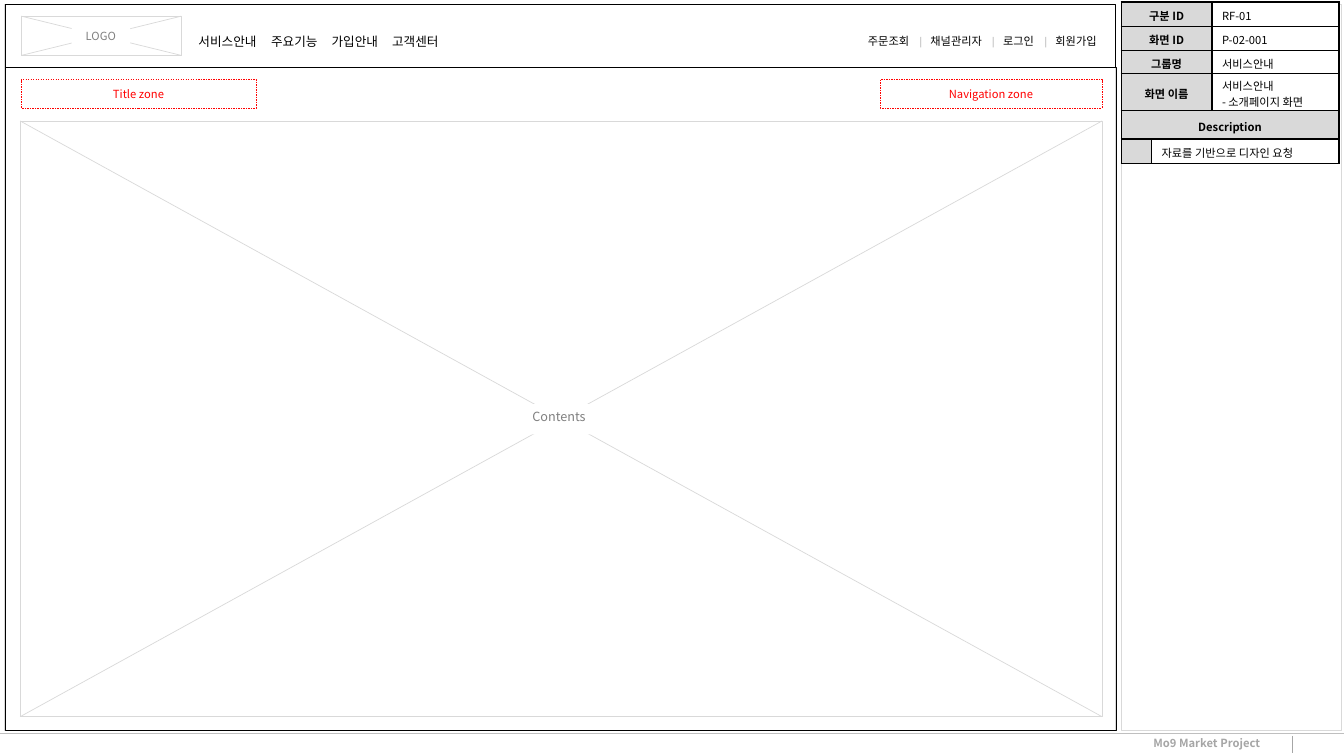
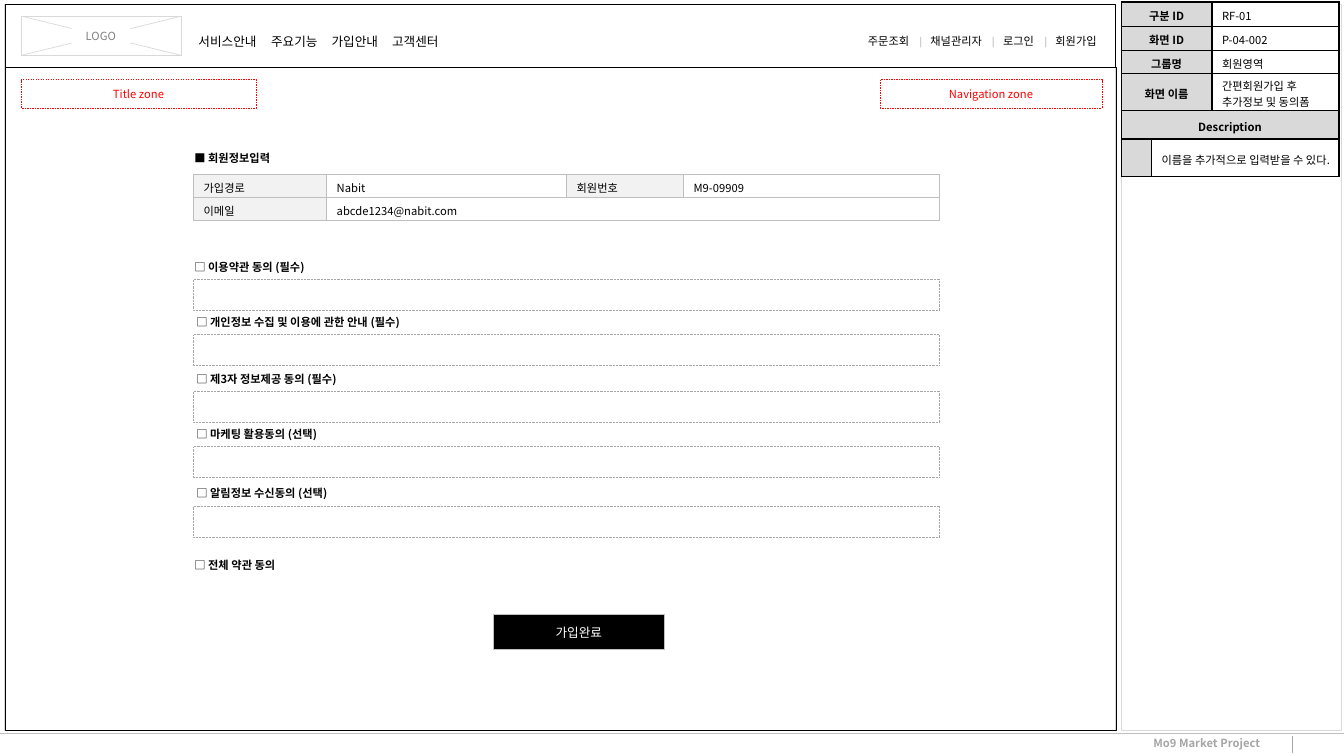
from lxml import etree
from pptx import Presentation
from pptx.dml.color import RGBColor
from pptx.enum import dml, shapes, text
from pptx.oxml.ns import qn
from pptx.util import Inches, Pt

# Shared look
COLORS = {
    "black": "000000", "white": "FFFFFF", "red": "FF0000", "head": "D9D9D9",
    "label": "F2F2F2", "frame": "D9D9D9", "rule": "BFBFBF", "muted": "A6A6A6",
    "hint": "808080",
}
SANS, LATIN = "Noto Sans CJK KR", "Arial"
CENTER = text.PP_ALIGN.CENTER
MIDDLE = text.MSO_ANCHOR.MIDDLE
DASH, DOT = dml.MSO_LINE.DASH, dml.MSO_LINE.ROUND_DOT

# Shared content: left, top, width, height
FRAMES = [
    ((11.12, 0.04, 2.18, 7.2), "frame"),
    ((0.04, 0.04, 11.02, 7.2), "frame"),
    ((0.05, 0.04, 11.01, 0.63), "black"),
    ((0.05, 0.67, 11.02, 6.57), "black"),
]
ZONES = [
    ("Title zone", (0.21, 0.79, 2.33, 0.28)),
    ("Navigation zone", (8.73, 0.79, 2.2, 0.28)),
]
MENU = ["서비스안내", "주요기능", "가입안내", "고객센터"]
MENU_TABS = [0.72, 1.32, 1.92]
ACCOUNT = ["주문조회", "|", "채널관리자", "|", "로그인", "|", "회원가입"]
ACCOUNT_TABS = [0.51, 0.62, 1.23, 1.34, 1.75, 1.86]
FOOTER = "Mo9 Market Project"
SPEC_LABELS = ["구분 ID", "화면 ID", "그룹명", "화면 이름"]

# Content of each screen
INTRO_SPEC = {
    "values": ["RF-01", "P-02-001", "서비스안내", "서비스안내\n- 소개페이지 화면"],
    "note": "자료를 기반으로 디자인 요청", "note_height": 0.24,
}
SIGNUP_SPEC = {
    "values": ["RF-01", "P-04-002", "회원영역", "간편회원가입 후 추가정보 및 동의폼"],
    "note": "이름을 추가적으로 입력받을 수 있다.", "note_height": 0.37,
}
# Table cells: column, columns spanned, text, fill, bold and centred
MEMBER_ROWS = [
    [(0, 1, "가입경로", "label", False), (1, 1, "Nabit", "white", False),
     (2, 1, "회원번호", "label", False), (3, 1, "M9-09909", "white", False)],
    [(0, 1, "이메일", "label", False), (1, 3, "abcde1234@nabit.com", "white", False)],
]
# Consent label, label left, top of its box
CONSENTS = [
    ("이용약관 동의 (필수)", 1.83, 2.77),
    ("개인정보 수집 및 이용에 관한 안내 (필수)", 1.85, 3.32),
    ("제3자 정보제공 동의 (필수)", 1.85, 3.88),
    ("마케팅 활용동의 (선택)", 1.85, 4.43),
    ("알림정보 수신동의 (선택)", 1.85, 5.02),
]


def rgb(name):
    return RGBColor.from_string(COLORS[name])


def inches(values):
    return [Inches(value) for value in values]


def add_span(para, words, color="black", size=8, bold=False, font=SANS):
    span = para.add_run()
    span.text = words
    span.font.size, span.font.bold, span.font.name = Pt(size), bold, font
    span.font.color.rgb = rgb(color)
    east = etree.SubElement(span._r.get_or_add_rPr(), qn("a:ea"))
    east.set("typeface", SANS)


def add_box(page, at, fill=None, line=None, width=0.25, dash=None):
    box = page.shapes.add_shape(shapes.MSO_SHAPE.RECTANGLE, *inches(at))
    box.shadow.inherit = False
    if fill:
        box.fill.solid()
        box.fill.fore_color.rgb = rgb(fill)
    else:
        box.fill.background()
    if line:
        box.line.color.rgb = rgb(line)
        box.line.width = Pt(width)
        if dash:
            box.line.dash_style = dash
    else:
        box.line.fill.background()
    return box


def add_caption(box, words, color, size=8, anchor=MIDDLE):
    frame = box.text_frame
    frame.vertical_anchor = anchor
    frame.paragraphs[0].alignment = CENTER
    add_span(frame.paragraphs[0], words, color, size)


def add_text(page, at, spans, wrap=False):
    """Each span is a pair: words and a dict of font settings."""
    box = page.shapes.add_textbox(*inches(at))
    box.text_frame.word_wrap = wrap
    para = box.text_frame.paragraphs[0]
    for words, style in spans:
        add_span(para, words, **style)
    return para


def add_line(page, start, end, color, width=0.25):
    line = page.shapes.add_connector(
        shapes.MSO_CONNECTOR.STRAIGHT, *inches(start + end))
    line.line.color.rgb = rgb(color)
    line.line.width = Pt(width)
    etree.SubElement(line._element.spPr, qn("a:effectLst"))


def add_crossed_box(page, at, words, label_at, size):
    left, top, width, height = at
    right, bottom = left + width, top + height
    add_box(page, at, "white", "frame", 0.5)
    add_line(page, (left, bottom), (right, top), "frame", 0.5)
    add_line(page, (left, top), (right, bottom), "frame", 0.5)
    label = add_box(page, label_at, "white")
    add_caption(label, words, "hint", size, text.MSO_ANCHOR.TOP)


def add_menu(page, at, items, tabs, size):
    para = add_text(page, at, [], wrap=True)
    para.line_spacing = 1.5
    stops = etree.SubElement(para._p.get_or_add_pPr(), qn("a:tabLst"))
    for tab in tabs:
        etree.SubElement(stops, qn("a:tab"), pos=str(Inches(tab)), algn="l")
    for index, item in enumerate(items):
        color = "rule" if item == "|" else "black"
        add_span(para, ("\t" if index else "") + item, color, size, font=LATIN)


def set_borders(cell, color, width):
    props = cell._tc.get_or_add_tcPr()
    for side in ("lnL", "lnR", "lnT", "lnB"):
        edge = etree.SubElement(props, qn("a:" + side), w=str(Pt(width)))
        paint = etree.SubElement(edge, qn("a:solidFill"))
        etree.SubElement(paint, qn("a:srgbClr"), val=COLORS[color])


def add_grid(page, left, top, widths, heights, rows, border, border_width):
    table = page.shapes.add_table(
        len(heights), len(widths),
        *inches((left, top, sum(widths), sum(heights)))).table
    table.first_row = table.horz_banding = False
    for column, width in zip(table.columns, widths):
        column.width = Inches(width)
    for row, height in zip(table.rows, heights):
        row.height = Inches(height)
    for cell in table.iter_cells():
        set_borders(cell, border, border_width)
        cell.margin_top, cell.margin_bottom = Inches(0.04), Inches(0.01)
        cell.vertical_anchor = MIDDLE
    for r, row in enumerate(rows):
        for c, columns, words, fill, heading in row:
            cell = table.cell(r, c)
            if columns > 1:
                cell.merge(table.cell(r, c + columns - 1))
            cell.fill.solid()
            cell.fill.fore_color.rgb = rgb(fill)
            frame = cell.text_frame
            for index, words_line in enumerate(words.split("\n") if words else []):
                para = frame.add_paragraph() if index else frame.paragraphs[0]
                if heading:
                    para.alignment = CENTER
                add_span(para, words_line, bold=heading)
    # Empty cells must not stretch their rows
    for cell in table.iter_cells():
        para = cell.text_frame.paragraphs[0]
        if not para.runs:
            etree.SubElement(para._p, qn("a:endParaRPr"), sz="800")


def add_screen(deck, spec):
    """A page with the frames, header, zones, footer and description panel."""
    page = deck.slides.add_slide(deck.slide_layouts[6])
    # Footer
    add_line(page, (0, 7.27), (13.33, 7.27), "rule")
    add_text(page, (11.34, 7.26, 1.4, 0.24),
             [(FOOTER, {"color": "muted", "bold": True})], wrap=True)
    add_line(page, (12.82, 7.3), (12.82, 7.47), "muted")
    # Frames and header
    for at, color in FRAMES:
        add_box(page, at, line=color)
    add_crossed_box(page, (0.21, 0.16, 1.59, 0.39), "LOGO",
                    (0.71, 0.24, 0.58, 0.24), 8)
    add_menu(page, (1.87, 0.21, 3.7, 0.3), MENU, MENU_TABS, 9)
    add_menu(page, (8.51, 0.22, 2.5, 0.28), ACCOUNT, ACCOUNT_TABS, 8)
    for words, at in ZONES:
        add_caption(add_box(page, at, line="red", dash=DASH), words, "red")
    # Description panel
    rows = [[(0, 2, label, "head", True), (2, 1, value, "white", False)]
            for label, value in zip(SPEC_LABELS, spec["values"])]
    rows.append([(0, 3, "Description", "head", True)])
    rows.append([(0, 1, "", "head", False), (1, 2, spec["note"], "white", False)])
    heights = [0.24, 0.24, 0.23, 0.37, 0.28, spec["note_height"]]
    add_grid(page, 11.12, 0.02, [0.3, 0.6, 1.26], heights, rows, "black", 1)
    return page


def build_intro(deck):
    page = add_screen(deck, INTRO_SPEC)
    add_crossed_box(page, (0.2, 1.2, 10.73, 5.91), "Contents",
                    (5.03, 4.01, 1.03, 0.3), 9)


def build_signup(deck):
    page = add_screen(deck, SIGNUP_SPEC)
    left, width = 1.92, 7.4
    bold = {"bold": True}
    # Member details
    add_text(page, (1.83, 1.45, 1.03, 0.24), [("■ 회원정보입력", bold)])
    add_grid(page, left, 1.73, [1.32, 2.38, 1.16, 2.54], [0.23, 0.23],
             MEMBER_ROWS, "rule", 0.5)
    # Consents
    for words, label_left, top in CONSENTS:
        add_box(page, (left, top, width, 0.31), line="muted", width=0.5, dash=DOT)
        add_text(page, (label_left, top - 0.24, 2.47, 0.24),
                 [("□ ", {}), (words, bold)])
    add_text(page, (1.83, 5.49, 1.11, 0.24), [("□ ", {}), ("전체 약관 동의", bold)])
    # Finish button
    button = add_box(page, (4.89, 6.1, 1.7, 0.34), "black", "rule", 0.5)
    add_caption(button, "가입완료", "white", 9)


def main():
    deck = Presentation()
    deck.slide_width, deck.slide_height = Inches(13.33), Inches(7.5)
    build_intro(deck)
    build_signup(deck)
    deck.save("out.pptx")


if __name__ == "__main__":
    main()
